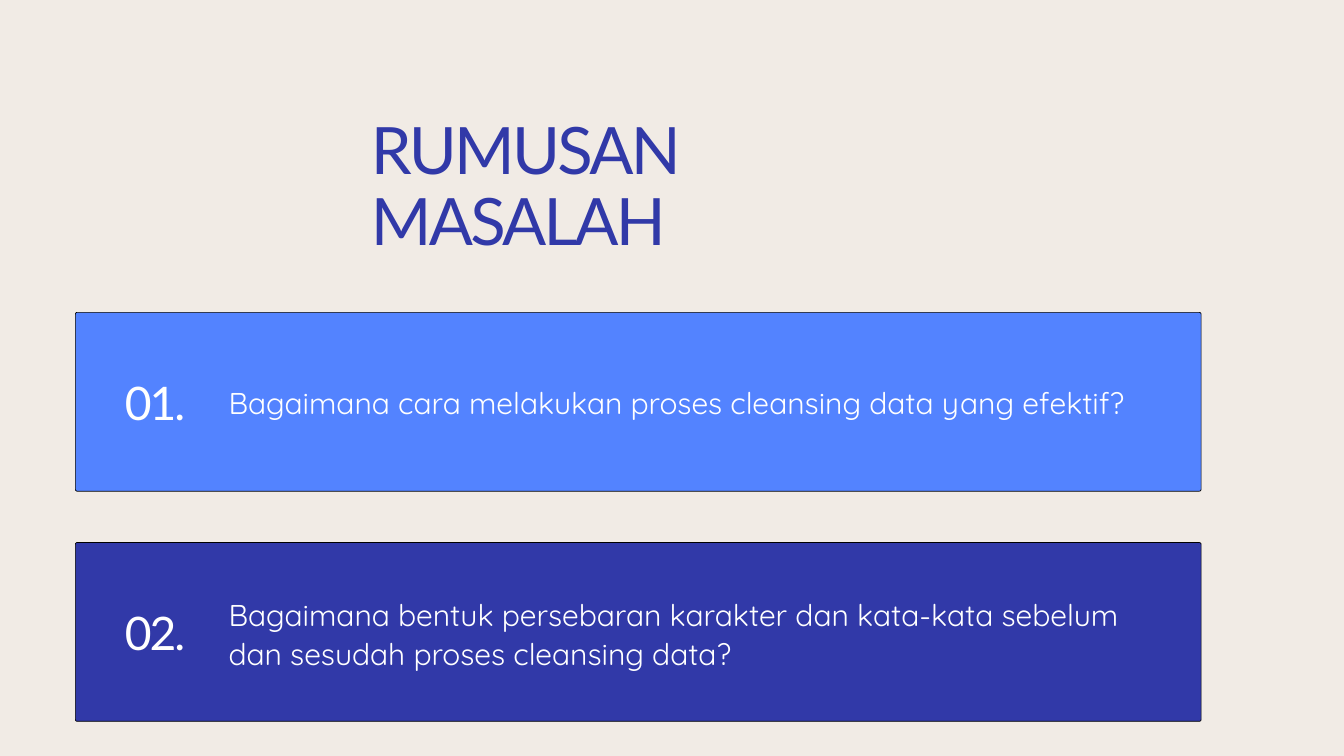
from dataclasses import dataclass

from lxml import etree
from pptx import Presentation
from pptx.dml.color import RGBColor
from pptx.enum.shapes import MSO_SHAPE
from pptx.enum.text import MSO_ANCHOR, MSO_AUTO_SIZE, PP_ALIGN
from pptx.oxml.ns import qn
from pptx.util import Cm, Pt

ROUNDED = MSO_SHAPE.ROUNDED_RECTANGLE
TOP = MSO_ANCHOR.TOP
LEFT = PP_ALIGN.LEFT
NO_AUTOFIT = MSO_AUTO_SIZE.NONE
TWO_CONTENT = 3


@dataclass(frozen=True)
class TextStyle:
    font: str
    size: float
    leading: float
    color: RGBColor
    tracking: float = 0


class Theme:
    cream = RGBColor.from_string("F1EBE5")
    sky = RGBColor.from_string("5383FF")
    indigo = RGBColor.from_string("3139A8")
    white = RGBColor.from_string("FFFFFF")
    outline = RGBColor.from_string("000000")
    title = TextStyle("Lato", 70, 76.3, indigo, -2.9)
    number = TextStyle("Lato", 49.5, 54, white, -2.1)
    question = TextStyle("Quicksand", 32.2, 41.9, white)


# Question, number of lines it takes, card colour
QUESTIONS = [
    ("Bagaimana cara melakukan proses cleansing data yang efektif?", 1, Theme.sky),
    ("Bagaimana bentuk persebaran karakter dan kata-kata sebelum "
     "dan sesudah proses cleansing data?", 2, Theme.indigo),
]

# Card grid, in centimetres
CARD_LEFT, CARD_WIDTH, CARD_HEIGHT = 2.85, 42.55, 6.76
FIRST_CARD_TOP, CARD_PITCH = 11.81, 8.7
LINE_HEIGHT = 1.42


def place(shape, left, top, width, height):
    shape.left, shape.top = Cm(left), Cm(top)
    shape.width, shape.height = Cm(width), Cm(height)


def write(shape, text, style):
    frame = shape.text_frame
    frame.word_wrap = True
    frame.auto_size = NO_AUTOFIT
    frame.vertical_anchor = TOP
    frame.margin_left = frame.margin_right = 0
    frame.margin_top = frame.margin_bottom = 0

    paragraph = frame.paragraphs[0]
    paragraph.alignment = LEFT
    paragraph.line_spacing = Pt(style.leading)
    paragraph.space_before = Pt(0)
    properties = paragraph._p.get_or_add_pPr()
    properties.set("marL", "0")
    properties.set("indent", "0")
    etree.SubElement(properties, qn("a:buNone"))

    font = paragraph.font
    font.name, font.size = style.font, Pt(style.size)
    font.color.rgb = style.color
    run = paragraph.add_run()
    run.text = text
    if style.tracking:
        run._r.get_or_add_rPr().set("spc", str(round(style.tracking * 100)))


def add_card(slide, top, color):
    card = slide.shapes.add_shape(ROUNDED, Cm(CARD_LEFT), Cm(top),
                                  Cm(CARD_WIDTH), Cm(CARD_HEIGHT))
    card.adjustments[0] = 0.01
    card.shadow.inherit = False
    card.fill.solid()
    card.fill.fore_color.rgb = color
    card.line.color.rgb = Theme.outline
    card.line.width = Pt(0.75)
    # Cards lie behind the placeholders
    slide.shapes._spTree.insert(2, card._element)


def add_number(slide, top, number):
    label = slide.shapes.add_textbox(Cm(4.72), Cm(top + 2.53), Cm(2.79), Cm(1.91))
    write(label, f"{number:02d}.", Theme.number)


def fill_question(placeholder, top, text, lines):
    height = lines * LINE_HEIGHT
    place(placeholder, 8.64, top + (CARD_HEIGHT - height) / 2 - 0.05, 35.15, height)
    write(placeholder, text, Theme.question)


def main():
    deck = Presentation()
    deck.slide_width, deck.slide_height = Cm(50.8), Cm(28.58)
    slide = deck.slides.add_slide(deck.slide_layouts[TWO_CONTENT])
    slide.background.fill.solid()
    slide.background.fill.fore_color.rgb = Theme.cream

    # Title
    title = slide.shapes.title
    place(title, 14.02, 4.39, 22.76, 2.77)
    write(title, "RUMUSAN MASALAH", Theme.title)

    # Numbered question cards
    for index, (text, lines, color) in enumerate(QUESTIONS):
        top = FIRST_CARD_TOP + index * CARD_PITCH
        add_card(slide, top, color)
        add_number(slide, top, index + 1)
        fill_question(slide.placeholders[index + 1], top, text, lines)

    # Placeholders of the layout that hold no text
    for placeholder in list(slide.placeholders):
        if not placeholder.text_frame.text:
            slide.shapes._spTree.remove(placeholder._element)

    deck.save("out.pptx")


if __name__ == "__main__":
    main()
